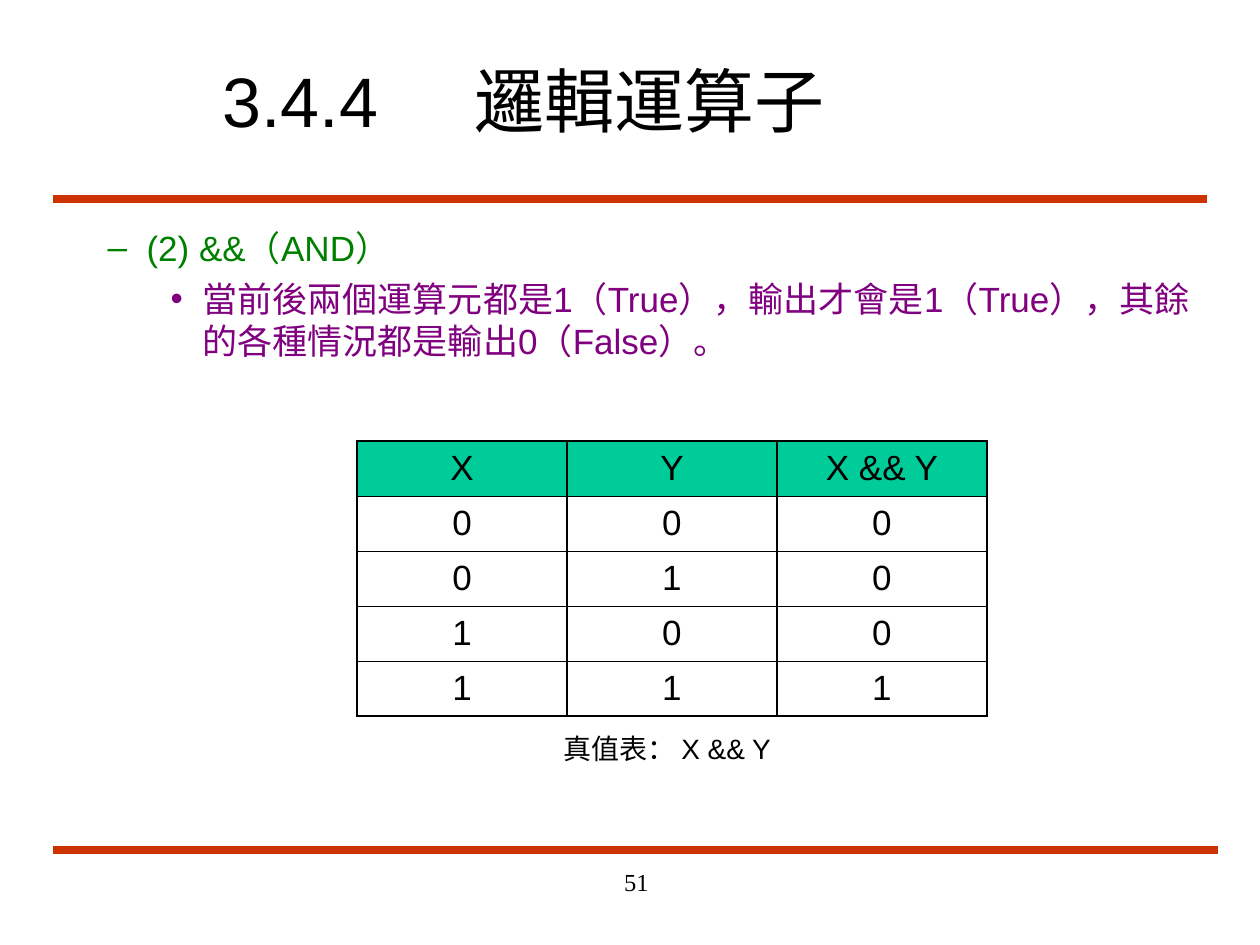
import pptx
import pptx.util
from pptx.dml.color import RGBColor
from pptx.enum.shapes import MSO_CONNECTOR
from pptx.enum.text import MSO_ANCHOR, MSO_AUTO_SIZE, PP_ALIGN
from pptx.oxml.ns import qn
from lxml import etree

COLORS = {"ink": "000000", "rule": "CC3300", "head": "00CC99",
          "operator": "008000", "meaning": "800080"}
PX = 914400 / 126

TITLE = "3.4.4\t邏輯運算子"
# text, level, bullet, colour, left margin, hanging indent, space before
POINTS = [
    ("(2) &&（AND）", 1, "–", "operator", 102, 39, 0),
    ("當前後兩個運算元都是1（True），輸出才會是1（True），其餘的各種情況都是輸出0（False）。",
     2, "•", "meaning", 158, 32, 5),
]
TRUTH_TABLE = [
    ("X", "Y", "X && Y"),
    (0, 0, 0),
    (0, 1, 0),
    (1, 0, 0),
    (1, 1, 1),
]
CAPTION = "真值表： X && Y"
PAGE_NUMBER = "51"

RULES = [(53, 1207, 199), (53, 1218, 850)]
TITLE_AREA = (210, 42, 955, 116)
BODY_AREA = (32, 220, 1197, 609)
CAPTION_AREA = (551, 725, 247, 47)
NUMBER_AREA = (399, 861, 262, 63)
TABLE_LEFT, TABLE_TOP, COLUMN, ROW = 357, 441, 210, 55
OUTER, INNER = 1.08, 0.45


def px(count):
    return pptx.util.Emu(round(count * PX))


def color(name):
    return RGBColor.from_string(COLORS[name])


def place(shape, area):
    for side, value in zip(("left", "top", "width", "height"), area):
        setattr(shape, side, px(value))


def write(para, text, size, ink="ink", font="Arial"):
    span = para.add_run()
    span.text = str(text)
    for name, value in {"size": pptx.util.Pt(size), "name": font, "bold": False}.items():
        setattr(span.font, name, value)
    span.font.color.rgb = color(ink)


def add_label(page, area, text, size, wrap, align, font="Arial"):
    box = page.shapes.add_textbox(*map(px, area))
    box.text_frame.word_wrap = wrap
    para = box.text_frame.paragraphs[0]
    para.alignment = align
    write(para, text, size, font=font)


def add_rule(page, left, right, y):
    rule = page.shapes.add_connector(MSO_CONNECTOR.STRAIGHT, px(left), px(y), px(right), px(y))
    rule.line.color.rgb = color("rule")
    rule.line.width = pptx.util.Pt(4.5)
    etree.SubElement(rule.element.spPr, qn("a:effectLst"))


def add_title(page):
    title = page.shapes.title
    place(title, TITLE_AREA)
    frame = title.text_frame
    frame.auto_size = MSO_AUTO_SIZE.NONE
    frame.vertical_anchor = MSO_ANCHOR.MIDDLE
    para = frame.paragraphs[0]
    para.alignment = PP_ALIGN.LEFT
    tabs = etree.SubElement(para._p.get_or_add_pPr(), qn("a:tabLst"))
    etree.SubElement(tabs, qn("a:tab"), pos=str(px(252)), algn="l")
    write(para, TITLE, 40)


def add_points(page):
    body = page.placeholders[1]
    place(body, BODY_AREA)
    frame = body.text_frame
    frame.auto_size = MSO_AUTO_SIZE.NONE
    for index, (text, level, bullet, ink, margin, hang, before) in enumerate(POINTS):
        para = frame.add_paragraph() if index else frame.paragraphs[0]
        para.level = level
        para.space_before = pptx.util.Pt(before)
        props = para._p.get_or_add_pPr()
        props.set("marL", str(px(margin)))
        props.set("indent", str(px(-hang)))
        etree.SubElement(props, qn("a:buFont"), typeface="Arial")
        etree.SubElement(props, qn("a:buChar"), char=bullet)
        write(para, text, 20, ink)


def set_borders(cell, widths):
    props = cell._tc.get_or_add_tcPr()
    for position, (side, width) in enumerate(widths.items()):
        line = etree.Element(qn(f"a:ln{side}"), w=str(pptx.util.Pt(width)))
        fill = etree.SubElement(line, qn("a:solidFill"))
        etree.SubElement(fill, qn("a:srgbClr"), val=COLORS["ink"])
        props.insert(position, line)


def add_truth_table(page):
    rows, columns = len(TRUTH_TABLE), len(TRUTH_TABLE[0])
    table = page.shapes.add_table(rows, columns, px(TABLE_LEFT), px(TABLE_TOP),
                                  px(COLUMN * columns), px(ROW * rows)).table
    table.first_row = table.horz_banding = False
    for r, values in enumerate(TRUTH_TABLE):
        for c, value in enumerate(values):
            cell = table.cell(r, c)
            cell.vertical_anchor = MSO_ANCHOR.MIDDLE
            if r == 0:
                cell.fill.solid()
                cell.fill.fore_color.rgb = color("head")
            else:
                cell.fill.background()
            set_borders(cell, {"L": OUTER, "R": OUTER,
                               "T": OUTER if r == 0 else INNER,
                               "B": OUTER if r == rows - 1 else INNER})
            para = cell.text_frame.paragraphs[0]
            para.alignment = PP_ALIGN.CENTER
            write(para, value, 20)


def main():
    deck = pptx.Presentation()
    deck.slide_width, deck.slide_height = px(1260), px(945)
    page = deck.slides.add_slide(deck.slide_layouts[1])
    for rule in RULES:
        add_rule(page, *rule)
    add_title(page)
    add_points(page)
    add_truth_table(page)
    add_label(page, CAPTION_AREA, CAPTION, 16, False, PP_ALIGN.LEFT)
    add_label(page, NUMBER_AREA, PAGE_NUMBER, 14, True, PP_ALIGN.RIGHT, "Times New Roman")
    deck.save("out.pptx")


if __name__ == "__main__":
    main()
